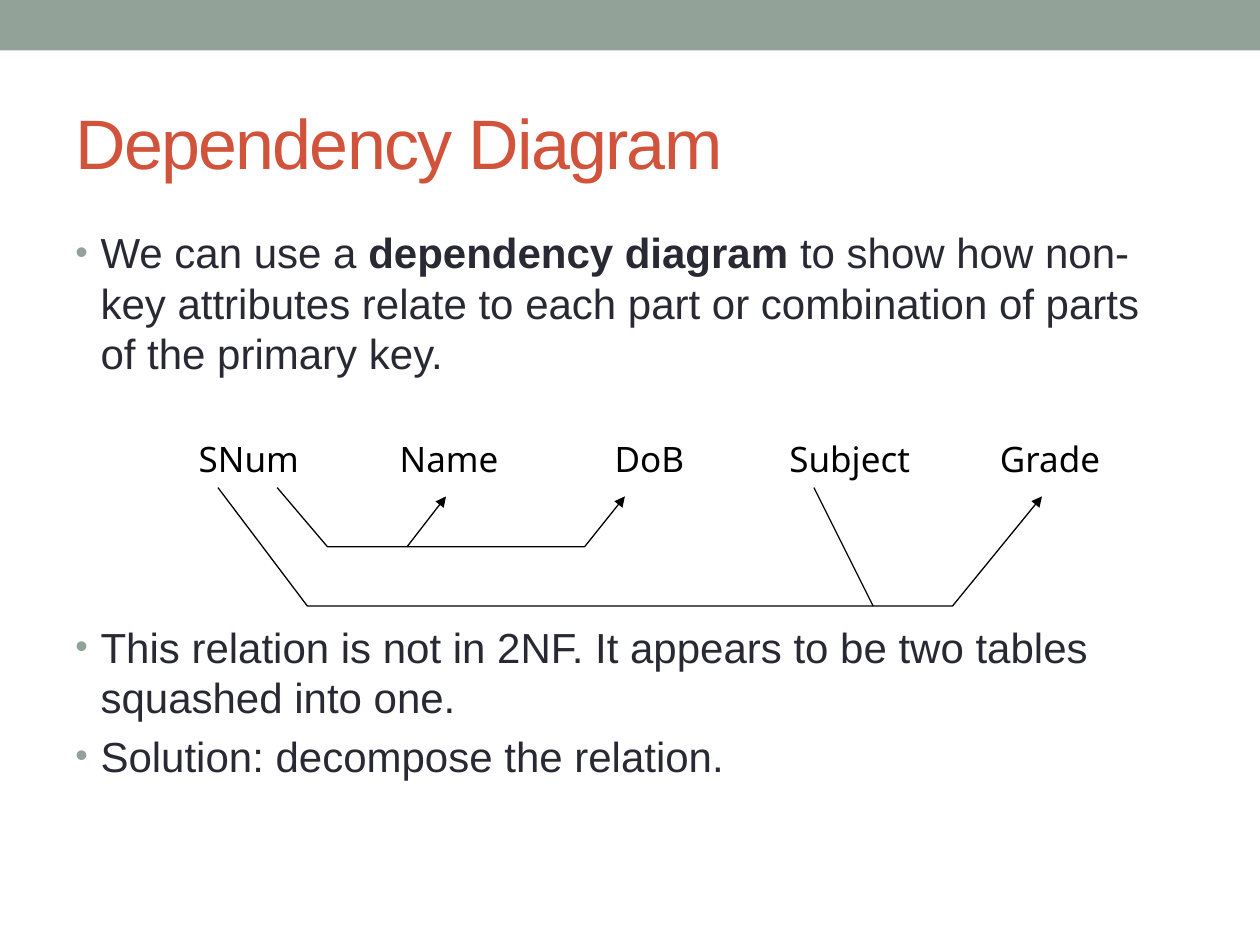
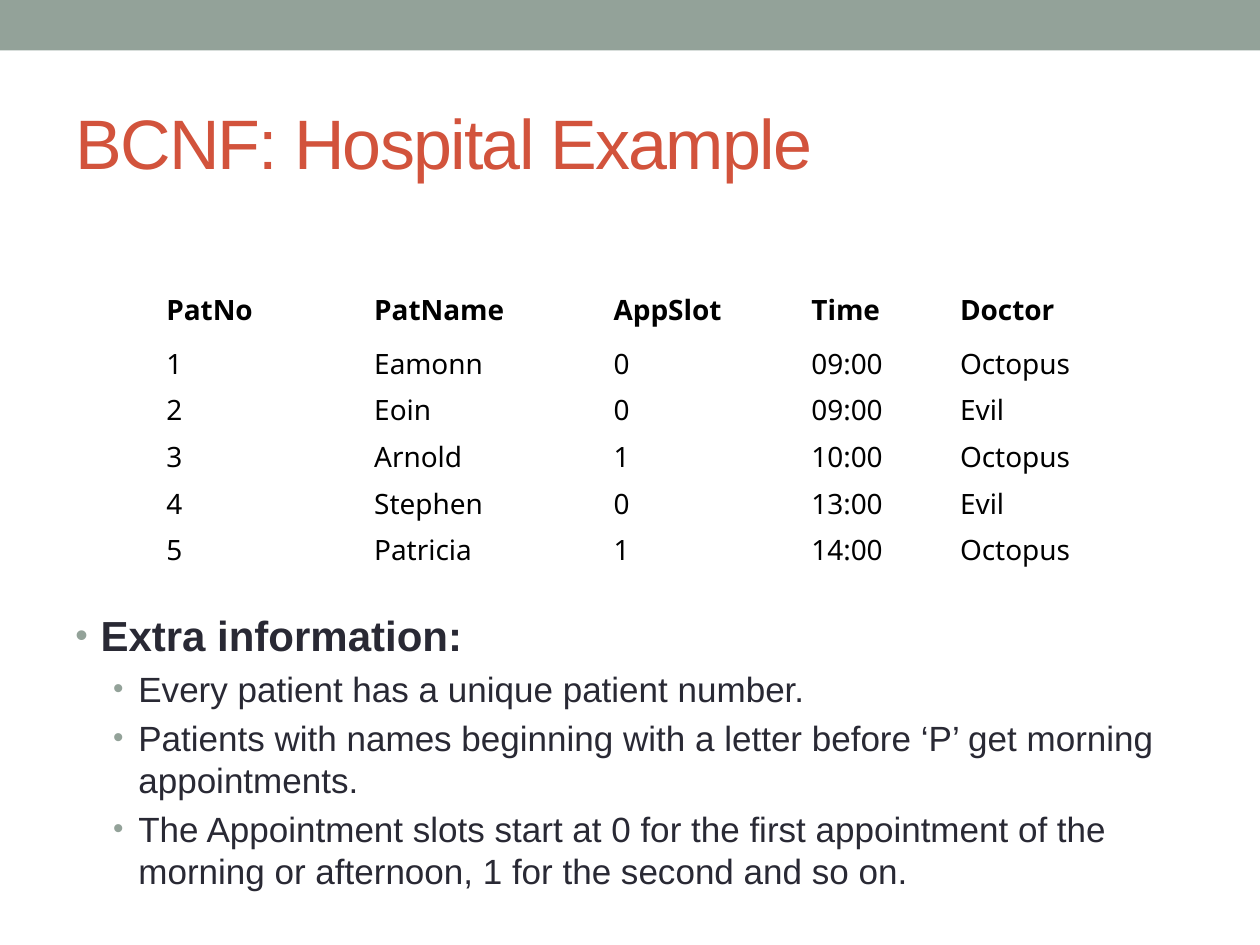
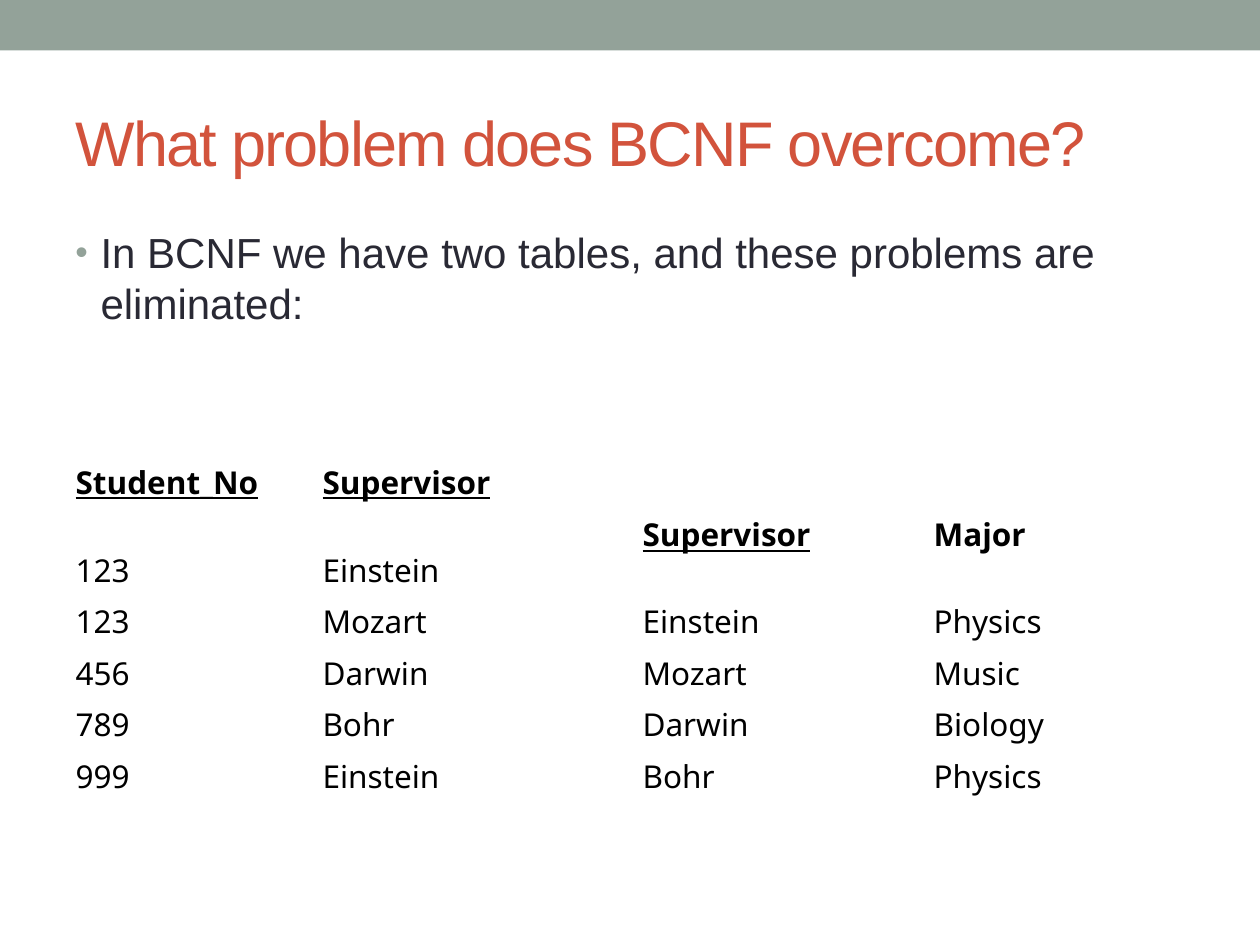
import dataclasses
import typing

import pptx
import pptx.dml.color
import pptx.enum.shapes
import pptx.enum.text
import pptx.oxml.ns
import pptx.util
from lxml import etree

Inches = pptx.util.Inches
Pt = pptx.util.Pt
RGBColor = pptx.dml.color.RGBColor
qn = pptx.oxml.ns.qn

# Shared look
SAGE = RGBColor(0x93, 0xA2, 0x99)
RUST = RGBColor(0xD2, 0x53, 0x3C)
INK = RGBColor(0x29, 0x29, 0x34)
BLACK = RGBColor(0, 0, 0)
TEXT_FONT = "Arial"
TABLE_FONT = "Noto Sans"
LEFT, WIDTH = 0.5, 9
BODY_TOP = 1.75

Point = tuple[float, float]


@dataclasses.dataclass
class Bullet:
    runs: list[tuple[str, bool]]  # text, bold
    level: int = 0
    gap: typing.Optional[float] = None  # points above, if not the usual 20 %


@dataclasses.dataclass
class Grid:
    left: float
    top: float
    cols: list[float]
    heights: list[float]
    rows: list[list[str]]
    size: int
    space_before: float
    inset_top: float = 0.07
    header: bool = True
    underlined: tuple[str, ...] = ()
    align: pptx.enum.text.PP_ALIGN = pptx.enum.text.PP_ALIGN.LEFT


def add_run(p, text: str, size: float, color: RGBColor, font: str = TEXT_FONT,
            bold: bool = False):
    r = p.add_run()
    r.text = text
    r.font.size = Pt(size)
    r.font.name = font
    r.font.bold = bold
    r.font.color.rgb = color
    return r


def add_frame(s, top: float, height: float):
    tf = s.shapes.add_textbox(Inches(LEFT), Inches(top), Inches(WIDTH), Inches(height)).text_frame
    tf.word_wrap = True
    return tf


def add_titled_slide(prs, title: str, size: int = 40):
    s = prs.slides.add_slide(prs.slide_layouts[6])
    band = s.shapes.add_shape(pptx.enum.shapes.MSO_SHAPE.RECTANGLE, 0, 0,
                              prs.slide_width, Inches(0.4))
    band.shadow.inherit = False
    band.fill.solid()
    band.fill.fore_color.rgb = SAGE
    band.line.fill.background()
    tf = add_frame(s, 0.58, 1.08)
    tf.vertical_anchor = pptx.enum.text.MSO_ANCHOR.MIDDLE
    r = add_run(tf.paragraphs[0], title, size, RUST)
    r.font._element.set("spc", "-100")
    return s


def set_bullet(p, level: int) -> None:
    pPr = p._p.get_or_add_pPr()
    pPr.set("marL", str(Inches(0.2 + 0.3 * level)))
    pPr.set("indent", str(-Inches(0.2)))
    color = etree.SubElement(pPr, qn("a:buClr"))
    etree.SubElement(color, qn("a:srgbClr"), val=str(SAGE))
    etree.SubElement(pPr, qn("a:buSzPct"), val="85000")
    etree.SubElement(pPr, qn("a:buFont"), typeface=TEXT_FONT)
    etree.SubElement(pPr, qn("a:buChar"), char="•")


def add_body(s, bullets: list[Bullet], top: float, height: float) -> None:
    tf = add_frame(s, top, height)
    for i, bullet in enumerate(bullets):
        p = tf.paragraphs[0] if i == 0 else tf.add_paragraph()
        size = 24 - 4 * bullet.level
        p.level = bullet.level
        p.space_before = Pt(0.2 * size if bullet.gap is None else bullet.gap)
        set_bullet(p, bullet.level)
        for text, bold in bullet.runs:
            add_run(p, text, size, INK, bold=bold)


def add_grid(s, grid: Grid) -> None:
    table = s.shapes.add_table(len(grid.rows), len(grid.cols), Inches(grid.left),
                               Inches(grid.top), Inches(sum(grid.cols)),
                               Inches(sum(grid.heights))).table
    table.first_row = table.horz_banding = False
    for column, width in zip(table.columns, grid.cols):
        column.width = Inches(width)
    for row, height in zip(table.rows, grid.heights):
        row.height = Inches(height)
    for i, texts in enumerate(grid.rows):
        is_header = grid.header and i == 0
        for j, text in enumerate(texts):
            cell = table.cell(i, j)
            cell.fill.background()
            cell.margin_top = Inches(grid.inset_top)
            cell.margin_bottom = Inches(0.05)
            p = cell.text_frame.paragraphs[0]
            p.alignment = grid.align
            p.line_spacing = 0.96
            p.space_before = Pt(grid.space_before)
            r = add_run(p, text, grid.size, BLACK, TABLE_FONT, is_header)
            r.font.underline = is_header and text in grid.underlined


def style_line(sp, arrow: bool) -> None:
    sp.line.color.rgb = BLACK
    sp.line.width = Pt(0.75)
    if arrow:
        etree.SubElement(sp.line._get_or_add_ln(), qn("a:tailEnd"), type="triangle")


def add_path(s, points: list[Point]) -> None:
    corners = [(Inches(x), Inches(y)) for x, y in points]
    builder = s.shapes.build_freeform(*corners[0])
    builder.add_line_segments(corners[1:], close=False)
    sp = builder.convert_to_shape()
    sp.shadow.inherit = False
    sp.fill.background()
    style_line(sp, True)


def add_line(s, start: Point, end: Point, arrow: bool = False) -> None:
    sp = s.shapes.add_connector(pptx.enum.shapes.MSO_CONNECTOR.STRAIGHT,
                                *(Inches(v) for v in start + end))
    style_line(sp, arrow)
    etree.SubElement(sp._element.spPr, qn("a:effectLst"))


prs = pptx.Presentation()
prs.slide_width, prs.slide_height = Inches(10), Inches(7.5)

# Slide 1: dependency diagram
s = add_titled_slide(prs, "Dependency Diagram")
add_body(s, [
    Bullet([("We can use a ", False), ("dependency diagram", True),
            (" to show how non-key attributes relate to each part or combination of parts "
             "of the primary key.", False)]),
    Bullet([("This relation is not in 2NF. It appears to be two tables squashed into one.",
             False)], gap=139),
    Bullet([("Solution: decompose the relation.", False)]),
], BODY_TOP, 5.33)
add_grid(s, Grid(1.18, 3.39, [1.59] * 5, [0.47],
                 [["SNum", "Name", "DoB", "Subject", "Grade"]], 20, 12.5,
                 header=False, align=pptx.enum.text.PP_ALIGN.CENTER))

START_Y, TIP_Y, UPPER_Y, LOWER_Y = 3.87, 3.94, 4.34, 4.81
add_path(s, [(2.2, START_Y), (2.6, UPPER_Y), (4.64, UPPER_Y), (4.96, TIP_Y)])
add_line(s, (3.23, UPPER_Y), (3.54, TIP_Y), arrow=True)
add_path(s, [(1.73, START_Y), (2.44, LOWER_Y), (7.56, LOWER_Y), (8.27, TIP_Y)])
add_line(s, (6.46, START_Y), (6.93, LOWER_Y))

# Slide 2: hospital appointments
s = add_titled_slide(prs, "BCNF: Hospital Example")
add_body(s, [
    Bullet([("Extra information:", True)]),
    Bullet([("Every patient has a unique patient number.", False)], 1),
    Bullet([("Patients with names beginning with a letter before ‘P’ get morning "
             "appointments.", False)], 1),
    Bullet([("The Appointment slots start at 0 for the first appointment of the morning or "
             "afternoon, 1 for the second and so on.", False)], 1),
], 4.79, 2.29)
add_grid(s, Grid(1.22, 2.25, [1.65, 1.9, 1.57, 1.18, 1.42], [0.43] + [0.37] * 5, [
    ["PatNo", "PatName", "AppSlot", "Time", "Doctor"],
    ["1", "Eamonn", "0", "09:00", "Octopus"],
    ["2", "Eoin", "0", "09:00", "Evil"],
    ["3", "Arnold", "1", "10:00", "Octopus"],
    ["4", "Stephen", "0", "13:00", "Evil"],
    ["5", "Patricia", "1", "14:00", "Octopus"],
], 16, 10, inset_top=0.06))

# Slide 3: the two BCNF tables
s = add_titled_slide(prs, "What problem does BCNF overcome?", 36)
add_body(s, [Bullet([("In BCNF we have two tables, and these problems are eliminated:",
                      False)])], BODY_TOP, 1.35)
add_grid(s, Grid(5, 4.01, [2.31, 2.34], [0.69] + [0.4] * 4, [
    ["Supervisor", "Major"],
    ["Einstein", "Physics"],
    ["Mozart", "Music"],
    ["Darwin", "Biology"],
    ["Bohr", "Physics"],
], 18, 11.2, underlined=("Supervisor",)))
add_grid(s, Grid(0.5, 3.59, [1.96, 2.1], [0.7] + [0.4] * 5, [
    ["Student_No", "Supervisor"],
    ["123", "Einstein"],
    ["123", "Mozart"],
    ["456", "Darwin"],
    ["789", "Bohr"],
    ["999", "Einstein"],
], 18, 11.2, underlined=("Student_No", "Supervisor")))

prs.save("out.pptx")
